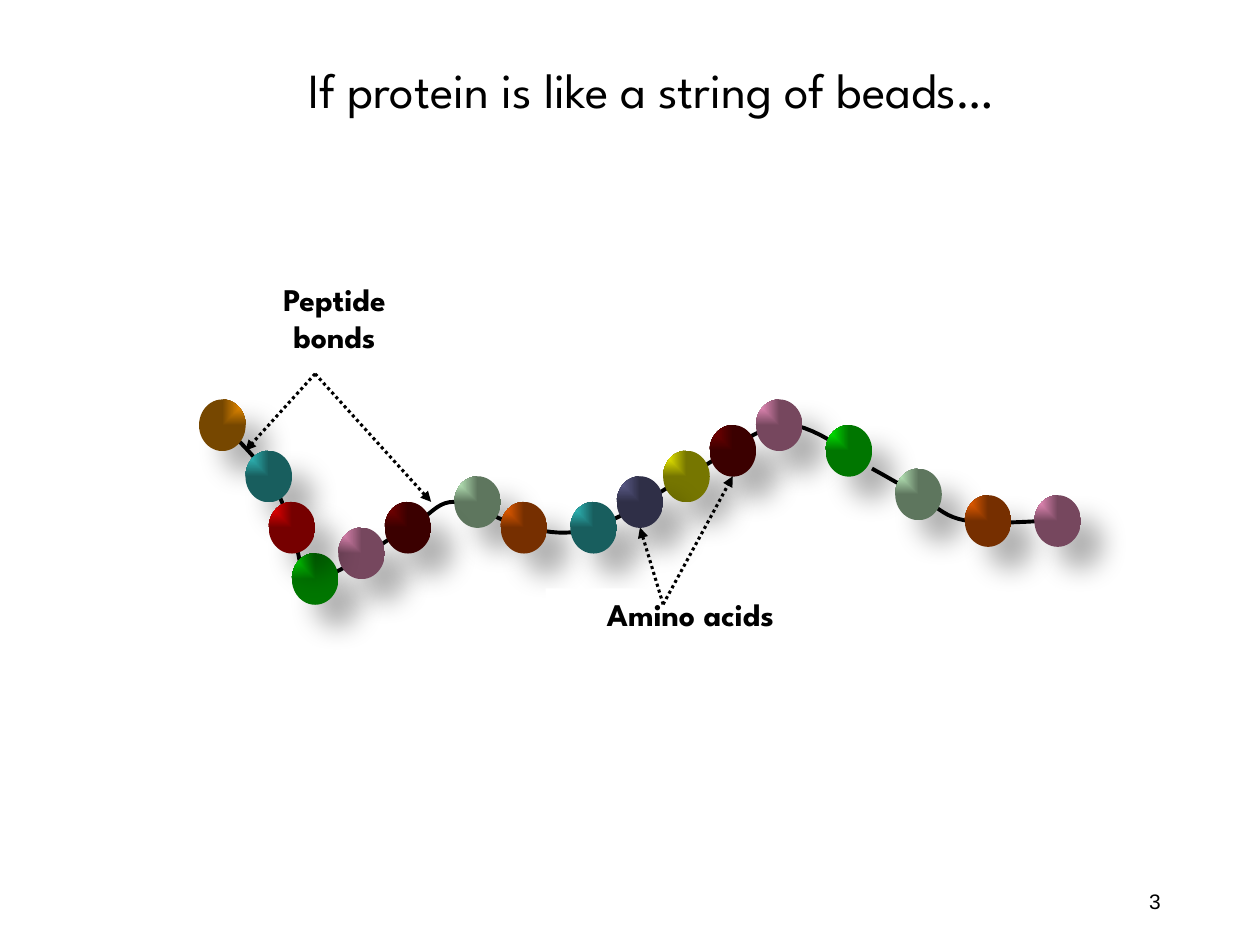
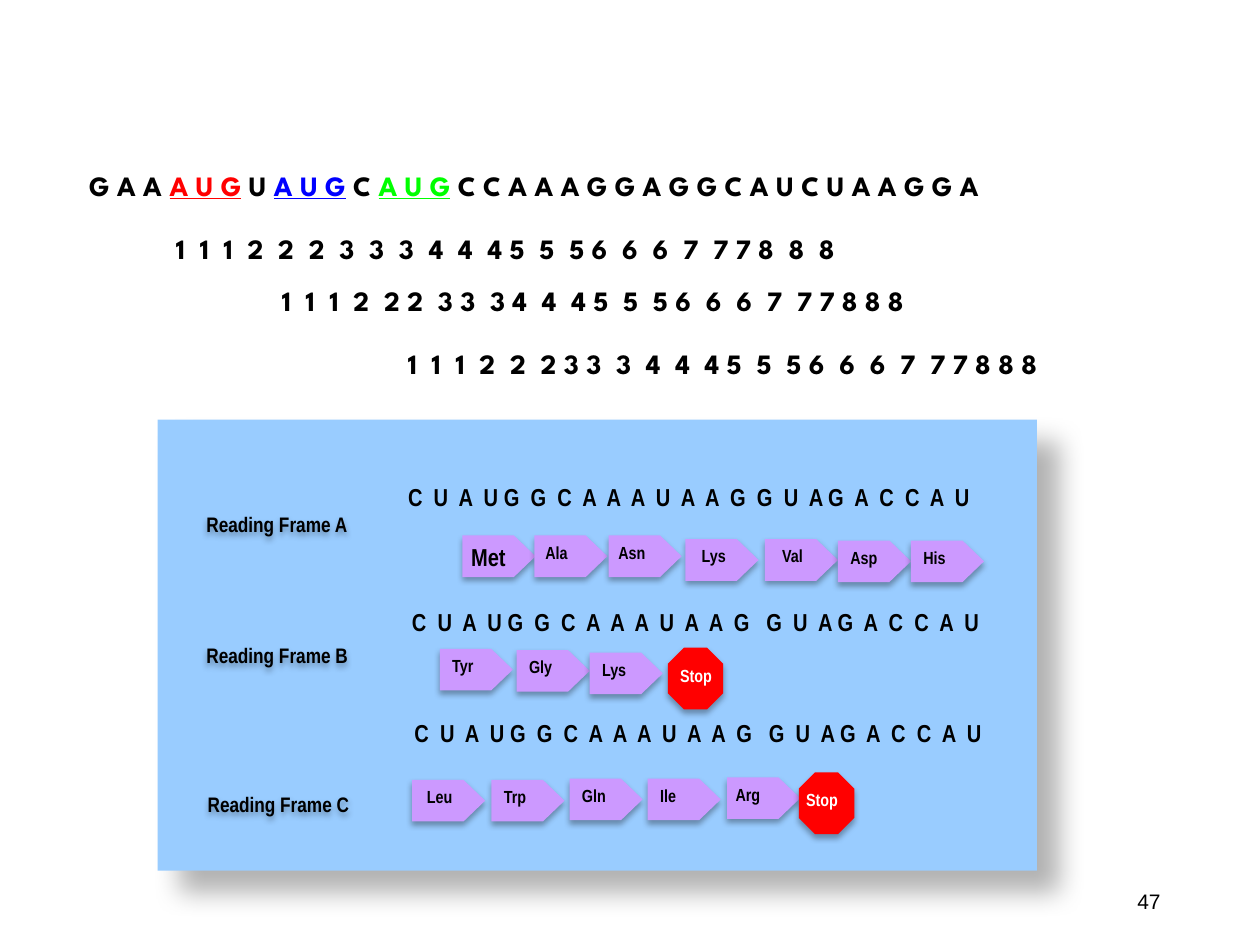
from dataclasses import dataclass
from itertools import chain

from pptx import Presentation
from pptx.dml.color import RGBColor
from pptx.enum.dml import MSO_LINE
from pptx.enum.shapes import MSO_CONNECTOR, MSO_SHAPE as Shape
from pptx.enum.text import MSO_ANCHOR as Anchor, PP_ALIGN as Align
from pptx.oxml import parse_xml
from pptx.oxml.ns import nsdecls, qn
from pptx.util import Inches, Pt


@dataclass(frozen=True)
class Theme:
    black: str = "000000"
    white: str = "FFFFFF"
    red: str = "FF0000"
    blue: str = "0000FF"
    green: str = "00FF00"
    panel: str = "99CCFF"
    tag: str = "CC99FF"
    heading_font: str = "League Spartan"
    narrow_font: str = "Arial Narrow"
    number_font: str = "Arial"
    # opacity in %, blur and distance in points, direction in degrees
    deep_shadow: tuple = (30, 15, 18, 45)
    soft_shadow: tuple = (32, 3.5, 2.2, 90)


THEME = Theme()
TITLE = dict(name=THEME.heading_font, size=Pt(28))
CALLOUT = dict(name=THEME.heading_font, size=Pt(18), bold=True)
CODE = dict(name=THEME.heading_font, size=Pt(16), bold=True)
CODON = dict(name=THEME.narrow_font, size=Pt(14), bold=True)
FRAME_NAME = dict(name=THEME.narrow_font, size=Pt(12), bold=True)
RESIDUE = dict(name=THEME.narrow_font, size=Pt(10), bold=True)
PAGE_NUMBER = dict(name=THEME.number_font, size=Pt(12))

# The strand lies on a grid; beads, bends and arrow ends are (column, row).
COLUMN = 6.63 / 36
ROW = 1.22 / 6
BEAD_SIZE = (0.37, 0.41)
BEAD_SHADE = 0.463
TOP_LEFT, TOP_RIGHT = 'r="100000" b="100000"', 'l="100000" b="100000"'

ORANGE, TEAL, GREEN, PINK = "FF9900", "33CCCC", "00FF00", "FF99CC"
MINT, MAROON, RUST, RED = "CCFFCC", "800000", "FF6600", "FF0000"
YELLOW, INDIGO = "FFFF00", "666699"

FRONT_BEADS = [
    (0, 0, ORANGE), (2, 2, TEAL), (4, 6, GREEN), (6, 5, PINK), (11, 3, MINT),
    (8, 4, MAROON), (13, 4, RUST), (16, 4, TEAL), (3, 4, RED), (20, 2, YELLOW),
    (18, 3, INDIGO), (22, 1, MAROON), (24, 0, PINK), (27, 1, GREEN),
]
END_BEADS = [(30, 2.7, MINT), (33, 3.74, RUST), (36, 3.74, PINK)]

# Start point, then two control points and an end point for each bend.
LONG_STRING = [
    (1, 1),
    (1.8, 1.67), (2.5, 2.33), (3, 3),
    (3.5, 3.69), (3.7, 4.33), (4, 5),
    (4.35, 5.66), (4.18, 7), (5, 7),
    (5.87, 7), (8.04, 5.5), (9, 5),
    (10.05, 4.53), (10.2, 4), (11, 4),
    (11.84, 4), (13.03, 4.82), (14, 5),
    (15.04, 5.17), (15.86, 5.36), (17, 5),
    (18.2, 4.67), (19.7, 3.69), (21, 3),
    (22.4, 2.36), (23.84, 1.18), (25, 1),
    (26.2, 0.84), (27.53, 1.87), (28, 2),
]
SHORT_STRING = [
    (29, 2.7),
    (29.7, 3.05), (30.35, 3.39), (31, 3.74),
    (31.7, 4.08), (32.04, 4.57), (33, 4.72),
    (34.04, 4.92), (36.4, 4.72), (37, 4.72),
]

# Text, box from the strand's corner, arrow start, arrow ends.
CALLOUTS = [
    ("Peptide bonds", (0.34, -1, 1.47, 0.97), (5, -1), [(2, 2), (10, 4)]),
    ("Amino acids", (2.75, 1.5, 2.3, 0.61), (20, 8), [(19, 5), (23, 3)]),
]

MESSAGE = [
    ("G A A ", THEME.black), ("A U G", THEME.red), (" U ", THEME.black),
    ("A U G", THEME.blue), (" C ", THEME.black), ("A U G", THEME.green),
    (" C C A A A G G A G G C A U C U A A G G A", THEME.black),
]
CODON_COUNTS = [
    ((1.24, 1.79, 6.34, 0.37),
     " 1  1  1  2  2  2  3  3  3  4  4  4 5  5  5 6  6  6  7  7 7 8  8  8"),
    ((2.08, 2.2, 5.75, 0.37),
     " 1  1  1  2  2 2  3 3  3 4  4  4 5  5  5 6  6  6  7  7 7 8 8 8"),
    ((3.08, 2.7, 5.75, 0.37),
     " 1  1  1  2  2  2 3 3  3  4  4  4 5  5  5 6  6  6  7  7 7 8 8 8"),
]


@dataclass(frozen=True)
class ReadingFrame:
    """Boxes are measured from the panel's corner.

    tags holds (residue, left, top, shift of the label); stop holds
    (left, top, label shift across, label shift down).
    """
    name: str
    name_box: tuple
    sequence: str
    sequence_box: tuple
    tags: list
    stop: tuple = ()


FRAMES = [
    ReadingFrame(
        "Reading Frame A", (0.29, 0.68, 1.74, 0.37),
        "C  U  A  U G  G  C  A  A  A  U  A  A  G  G  U  A G  A  C  C  A  U",
        (1.89, 0.45, 5.65, 0.51),
        [("Met", 2.42, 0.92, -0.03), ("Ala", 2.99, 0.92, -0.01),
         ("Asn", 3.58, 0.92, -0.02), ("Lys", 4.19, 0.95, 0.03),
         ("Val", 4.82, 0.95, 0.04), ("Asp", 5.4, 0.96, 0),
         ("His", 5.98, 0.96, 0)]),
    ReadingFrame(
        "Reading Frame B", (0.29, 1.72, 1.8, 0.43),
        "C  U  A  U G  G  C  A  A  A  U  A  A  G   G  U  A G  A  C  C  A  U",
        (1.92, 1.44, 4.88, 0.6),
        [("Tyr", 2.24, 1.82, 0), ("Gly", 2.85, 1.83, 0),
         ("Lys", 3.43, 1.85, 0)],
        (4.05, 1.81, 0, 0.09)),
    ReadingFrame(
        "Reading Frame C", (0.3, 2.9, 1.74, 0.37),
        "C  U  A  U G  G  C  A  A  A  U  A  A  G   G  U  A G  A  C  C  A  U",
        (1.94, 2.32, 5.29, 0.44),
        [("Leu", 2.02, 2.86, 0.02), ("Trp", 2.65, 2.86, 0),
         ("Gln", 3.27, 2.85, 0), ("Ile", 3.89, 2.85, 0),
         ("Arg", 4.52, 2.84, -0.03)],
        (5.09, 2.8, -0.04, 0.08)),
]


def color(code):
    return RGBColor.from_string(code)


def inches(values):
    return [Inches(value) for value in values]


def add_xml(parent, tag, attributes="", content=""):
    parent.append(parse_xml(
        f'<a:{tag} {nsdecls("a")} {attributes}>{content}</a:{tag}>'))


def set_shadow(shape, shadow):
    opacity, blur, distance, direction = shadow
    shape.shadow.inherit = False
    add_xml(shape._element.spPr.find(qn("a:effectLst")), "outerShdw",
            f'blurRad="{Pt(blur)}" dist="{Pt(distance)}" '
            f'dir="{direction * 60000}" algn="ctr" rotWithShape="0"',
            f'<a:srgbClr val="{THEME.black}">'
            f'<a:alpha val="{opacity * 1000}"/></a:srgbClr>')


def add_plain_shape(slide, kind, box, fill, shadow=None):
    shape = slide.shapes.add_shape(kind, *inches(box))
    shape.fill.solid()
    shape.fill.fore_color.rgb = color(fill)
    shape.line.fill.background()
    shape.shadow.inherit = False
    if shadow:
        set_shadow(shape, shadow)
    return shape


def write(shape, runs, style, align=Align.LEFT, anchor=Anchor.TOP):
    """Fill a shape with one paragraph of (text, colour) runs."""
    frame = shape.text_frame
    frame.word_wrap = True
    frame.vertical_anchor = anchor
    paragraph = frame.paragraphs[0]
    paragraph.alignment = align
    for text, code in runs:
        run = paragraph.add_run()
        run.text = text
        for key, value in style.items():
            setattr(run.font, key, value)
        run.font.color.rgb = color(code)
        if code in (THEME.red, THEME.blue, THEME.green):
            run.font.underline = True


def add_text(slide, box, text, style, code=THEME.black, **layout):
    text_box = slide.shapes.add_textbox(*inches(box))
    write(text_box, [(text, code)], style, **layout)
    return text_box


def add_page_number(slide, number):
    add_text(slide, (7.06, 6.95, 2.25, 0.4), str(number), PAGE_NUMBER,
             align=Align.RIGHT, anchor=Anchor.MIDDLE)


def on_grid(origin, point):
    return origin[0] + point[0] * COLUMN, origin[1] + point[1] * ROW


def curve_points(nodes, steps=10):
    """Sample a chain of cubic Bezier bends."""
    for index in range(0, len(nodes) - 1, 3):
        bend = nodes[index:index + 4]
        for step in range(1, steps + 1):
            t = step / steps
            weights = ((1 - t) ** 3, 3 * t * (1 - t) ** 2,
                       3 * t * t * (1 - t), t ** 3)
            yield tuple(sum(w * node[axis] for w, node in zip(weights, bend))
                        for axis in (0, 1))


def add_string(slide, origin, nodes):
    points = [inches(on_grid(origin, point))
              for point in chain(nodes[:1], curve_points(nodes))]
    builder = slide.shapes.build_freeform(*points[0], scale=1.0)
    builder.add_line_segments(points[1:], close=False)
    string = builder.convert_to_shape()
    string.fill.background()
    string.line.color.rgb = color(THEME.black)
    string.line.width = Pt(2.25)
    string.shadow.inherit = False


def add_bead(slide, origin, column, row, code):
    """Draw a ball that is lit from one corner and dark elsewhere."""
    box = (*on_grid(origin, (column, row)), *BEAD_SIZE)
    bead = add_plain_shape(slide, Shape.OVAL, box, code, THEME.deep_shadow)
    bead.fill.gradient()
    light, dark = bead.fill.gradient_stops
    light.color.rgb = color(code)
    dark.color.rgb = RGBColor(*(round(c * BEAD_SHADE) for c in color(code)))
    gradient = bead._element.spPr.find(qn("a:gradFill"))
    gradient.remove(gradient.find(qn("a:lin")))
    corner = TOP_RIGHT if code == ORANGE else TOP_LEFT
    add_xml(gradient, "path", 'path="rect"', f"<a:fillToRect {corner}/>")


def add_dotted_arrow(slide, start, end):
    arrow = slide.shapes.add_connector(
        MSO_CONNECTOR.STRAIGHT, *inches(start), *inches(end))
    arrow.line.color.rgb = color(THEME.black)
    arrow.line.width = Pt(1.75)
    arrow.line.dash_style = MSO_LINE.ROUND_DOT
    properties = arrow._element.spPr
    add_xml(properties.find(qn("a:ln")), "tailEnd", 'type="triangle"')
    add_xml(properties, "effectLst")


def add_callout(slide, origin, text, box, start, ends):
    left, top, width, height = box
    label = add_plain_shape(
        slide, Shape.RECTANGLE,
        (origin[0] + left, origin[1] + top, width, height), THEME.white)
    write(label, [(text, THEME.black)], CALLOUT, Align.CENTER)
    for end in ends:
        add_dotted_arrow(slide, on_grid(origin, start), on_grid(origin, end))


def add_strand(slide, origin):
    for nodes in (LONG_STRING, SHORT_STRING):
        add_string(slide, origin, nodes)
    for bead in FRONT_BEADS:
        add_bead(slide, origin, *bead)
    for callout in CALLOUTS:
        add_callout(slide, origin, *callout)
    for bead in END_BEADS:
        add_bead(slide, origin, *bead)


def add_reading_frame(slide, origin, frame):
    def place(left, top, width, height):
        return origin[0] + left, origin[1] + top, width, height

    for residue, left, top, shift in frame.tags:
        tag = add_plain_shape(slide, Shape.PENTAGON, place(left, top, 0.58, 0.33),
                              THEME.tag, THEME.soft_shadow)
        tag.adjustments[0] = 0.52
        add_text(slide, place(left + shift, top, 0.58, 0.33), residue,
                 CODON if residue == "Met" else RESIDUE)
    if frame.stop:
        left, top, across, down = frame.stop
        add_plain_shape(slide, Shape.OCTAGON, place(left, top, 0.44, 0.49),
                        THEME.red, THEME.soft_shadow)
        add_text(slide, place(left + across, top + down, 0.58, 0.32), "Stop",
                 RESIDUE, THEME.white)
    add_text(slide, place(*frame.sequence_box), frame.sequence, CODON,
             align=Align.JUSTIFY)
    name = add_text(slide, place(*frame.name_box), frame.name, FRAME_NAME)
    set_shadow(name, THEME.soft_shadow)


def add_frames_panel(slide, box):
    add_plain_shape(slide, Shape.RECTANGLE, box, THEME.panel, THEME.deep_shadow)
    for frame in FRAMES:
        add_reading_frame(slide, box[:2], frame)


def build_bead_slide(slide):
    add_page_number(slide, 3)
    add_strand(slide, (1.58, 3.17))
    add_text(slide, (0.33, 0.42, 9.67, 0.67),
             "If protein is like a string of beads…", TITLE, align=Align.CENTER)


def build_reading_frame_slide(slide):
    add_page_number(slide, 47)
    message = slide.shapes.add_textbox(*inches((0.61, 1.29, 8.33, 0.46)))
    write(message, MESSAGE, CODE, Align.JUSTIFY)
    for box, counts in CODON_COUNTS:
        add_text(slide, box, counts, CODE)
    add_frames_panel(slide, (1.25, 3.33, 6.98, 3.58))


def main():
    presentation = Presentation()
    presentation.slide_width, presentation.slide_height = inches((10, 7.5))
    blank = presentation.slide_layouts[6]
    for build in (build_bead_slide, build_reading_frame_slide):
        build(presentation.slides.add_slide(blank))
    presentation.save("out.pptx")


if __name__ == "__main__":
    main()
